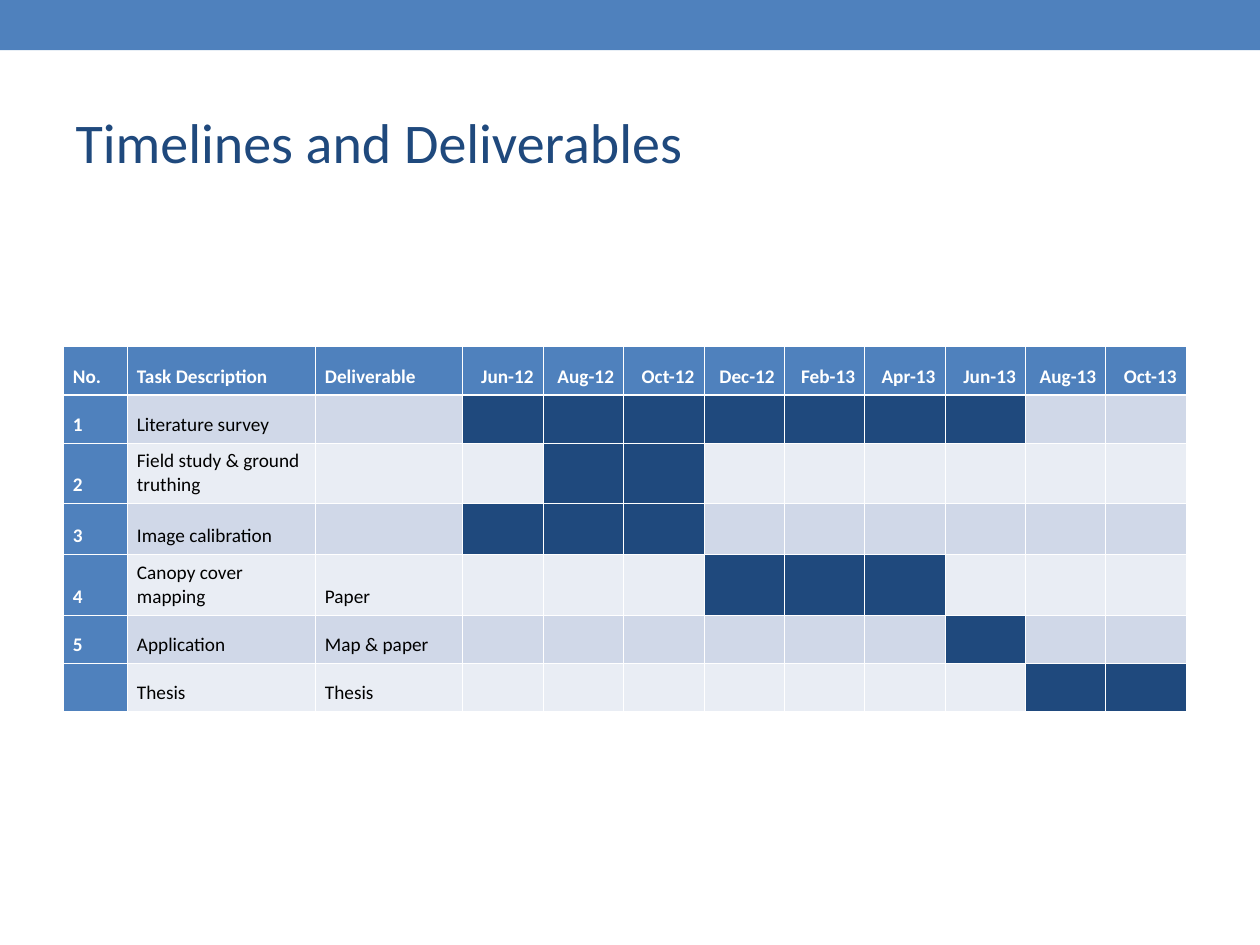
from dataclasses import dataclass

from lxml.etree import SubElement
from pptx import Presentation
from pptx.dml.color import RGBColor
from pptx.enum.shapes import MSO_SHAPE
from pptx.enum.text import MSO_ANCHOR, PP_ALIGN
from pptx.oxml.ns import qn
from pptx.util import Cm, Pt


@dataclass(frozen=True)
class Theme:
    font: str = "Calibri"
    title_size: float = 32
    cell_size: float = 11
    accent: str = "4F81BD"
    dark: str = "1F497D"
    odd_band: str = "D0D8E8"
    even_band: str = "E9EDF4"
    white: str = "FFFFFF"
    black: str = "000000"
    thin: float = 0.45
    thick: float = 1.47


@dataclass(frozen=True)
class Task:
    no: str
    name: str
    deliverable: str
    start: int
    end: int
    height: float = 0.97


T = Theme()
HEADINGS = ["No.", "Task Description", "Deliverable"]
MONTHS = ["Jun-12", "Aug-12", "Oct-12", "Dec-12", "Feb-13",
          "Apr-13", "Jun-13", "Aug-13", "Oct-13"]
TASKS = [
    Task("1", "Literature survey", "", 0, 6),
    Task("2", "Field study & ground truthing", "", 1, 2),
    Task("3", "Image calibration", "", 0, 2, height=1.03),
    Task("4", "Canopy cover mapping", "Paper", 3, 5),
    Task("5", "Application", "Map & paper", 6, 6),
    Task("", "Thesis", "Thesis", 7, 8),
]
WIDTHS = [1.29, 3.79, 2.97] + [1.62] * len(MONTHS)


def rgb(value: str) -> RGBColor:
    return RGBColor.from_string(value)


def add_text(p, text: str, *, size: float, color: str, bold: bool = False,
             align: PP_ALIGN = PP_ALIGN.LEFT) -> None:
    p.alignment = align
    if not text:
        SubElement(p._p, qn("a:endParaRPr"), sz=str(int(size * 100)))
        return
    r = p.add_run()
    r.text = text
    r.font.name = T.font
    r.font.size = Pt(size)
    r.font.bold = bold
    r.font.color.rgb = rgb(color)


def add_border(cell, side: str, width: float) -> None:
    ln = SubElement(cell._tc.get_or_add_tcPr(), qn(f"a:ln{side}"), w=str(Pt(width)))
    SubElement(SubElement(ln, qn("a:solidFill")), qn("a:srgbClr"), val=T.white)


def format_cell(cell, text: str, fill: str, *, top: float = T.thin,
                bottom: float = T.thin, **text_format) -> None:
    cell.vertical_anchor = MSO_ANCHOR.BOTTOM
    cell.margin_left = cell.margin_right = Cm(0.19)
    cell.margin_top = cell.margin_bottom = Cm(0.13)
    for side, width in zip("LRTB", (T.thin, T.thin, top, bottom)):
        add_border(cell, side, width)
    cell.fill.solid()
    cell.fill.fore_color.rgb = rgb(fill)
    add_text(cell.text_frame.paragraphs[0], text, size=T.cell_size, **text_format)


def add_title(s, text: str) -> None:
    sp = s.shapes.title
    sp.left, sp.top, sp.width, sp.height = Cm(1.27), Cm(1.47), Cm(22.86), Cm(2.74)
    tf = sp.text_frame
    tf.vertical_anchor = MSO_ANCHOR.MIDDLE
    add_text(tf.paragraphs[0], text, size=T.title_size, color=T.dark)


def add_top_bar(s, width: int) -> None:
    sp = s.shapes.add_shape(MSO_SHAPE.RECTANGLE, 0, 0, width, Cm(1.01))
    sp.shadow.inherit = False
    sp.fill.solid()
    sp.fill.fore_color.rgb = rgb(T.accent)
    sp.line.fill.background()


def add_task_row(table, row: int, task: Task) -> None:
    table.rows[row].height = Cm(task.height)
    band = T.odd_band if row % 2 else T.even_band
    top = T.thick if row == 1 else T.thin
    labels = [task.no, task.name, task.deliverable] + [""] * len(MONTHS)
    for col, text in enumerate(labels):
        month = col - len(HEADINGS)
        first = col == 0
        active = task.start <= month <= task.end
        fill = T.accent if first else T.dark if active else band
        format_cell(table.cell(row, col), text, fill, top=top, bold=first,
                    color=T.white if first else T.black)


def add_timeline(s) -> None:
    table = s.shapes.add_table(len(TASKS) + 1, len(WIDTHS), Cm(1.28), Cm(6.99),
                               Cm(sum(WIDTHS)), Cm(6.79)).table
    for column, width in zip(table.columns, WIDTHS):
        column.width = Cm(width)
    table.rows[0].height = Cm(0.97)
    for col, text in enumerate(HEADINGS + MONTHS):
        align = PP_ALIGN.LEFT if col < len(HEADINGS) else PP_ALIGN.RIGHT
        format_cell(table.cell(0, col), text, T.accent, bottom=T.thick,
                    color=T.white, bold=True, align=align)
    for row, task in enumerate(TASKS, start=1):
        add_task_row(table, row, task)


def main() -> None:
    prs = Presentation()
    prs.slide_width, prs.slide_height = Cm(25.4), Cm(19.05)
    s = prs.slides.add_slide(prs.slide_layouts[5])
    add_top_bar(s, prs.slide_width)
    add_title(s, "Timelines and Deliverables")
    add_timeline(s)
    prs.save("out.pptx")


if __name__ == "__main__":
    main()
